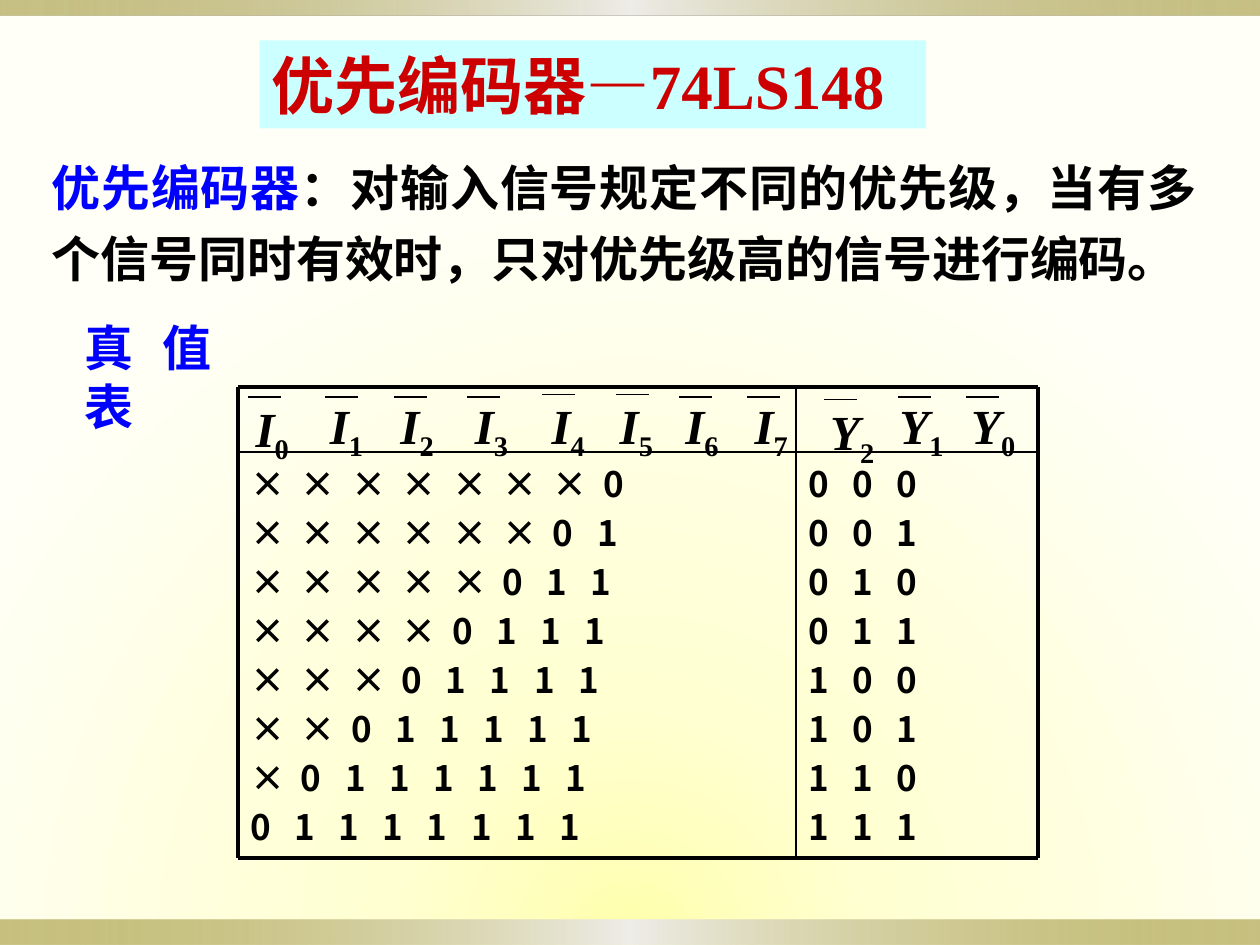
"""Builds a slide on the 74LS148 priority encoder with its truth table."""
from lxml import etree
from pptx import Presentation
from pptx.dml.color import RGBColor
from pptx.enum.shapes import MSO_CONNECTOR, MSO_SHAPE
from pptx.enum.text import MSO_ANCHOR, PP_ALIGN
from pptx.oxml import parse_xml
from pptx.oxml.ns import nsdecls, qn
from pptx.util import Inches, Pt

STRAIGHT = MSO_CONNECTOR.STRAIGHT
RECT = MSO_SHAPE.RECTANGLE
MIDDLE = MSO_ANCHOR.MIDDLE
LEFT, JUSTIFY = PP_ALIGN.LEFT, PP_ALIGN.JUSTIFY
SERIF, SANS = "Times New Roman", "Noto Sans CJK SC"
BLACK, BLUE, RED, CYAN = "000000", "0000FF", "CC0000", "CCFFFF"
rgb = RGBColor.from_string


def add_text(p, text, size=28, font=SERIF, color=BLACK, italic=False, base=None):
    r = p.add_run()
    r.text = text
    r.font.size = Pt(size)
    r.font.name = font
    r.font.bold = True
    r.font.italic = italic
    r.font.color.rgb = rgb(color)
    if base:
        r.font._element.set("baseline", str(base * 1000))


def add_line(x1, y1, x2, y2, width):
    c = s.shapes.add_connector(STRAIGHT, Inches(x1), Inches(y1), Inches(x2), Inches(y2))
    c.line.color.rgb = rgb(BLACK)
    c.line.width = Pt(width)
    etree.SubElement(c._element.spPr, qn("a:effectLst"))


prs = Presentation()
prs.slide_width, prs.slide_height = Inches(10), Inches(7.5)
s = prs.slides.add_slide(prs.slide_layouts[6])

# background and bands
s.background.fill.gradient()
for top, height in [(7.3, 0.2), (0, 0.12)]:
    sp = s.shapes.add_shape(RECT, 0, Inches(top), Inches(10), Inches(height))
    sp.shadow.inherit = False
    sp.line.fill.background()
    sp.fill.gradient()

glow = ([(0, "FFFFAC", 100), (31, "FFFFD2", 100), (100, "FFFFF7", 100)],
        '<a:path path="circle"><a:fillToRect l="50000" t="100000" r="50000" b="0"/></a:path>')
band = ([(0, "918415", 50), (50, "EEEDE8", 100), (100, "918415", 50)], '<a:lin ang="0"/>')
for old, (stops, direction) in zip(list(s.element.iter(qn("a:gradFill"))), [glow, band, band]):
    gs = "".join(f'<a:gs pos="{pos * 1000}"><a:srgbClr val="{color}">'
                 f'<a:alpha val="{alpha * 1000}"/></a:srgbClr></a:gs>'
                 for pos, color, alpha in stops)
    new = parse_xml(f'<a:gradFill {nsdecls("a")} rotWithShape="1">'
                    f'<a:gsLst>{gs}</a:gsLst>{direction}</a:gradFill>')
    old.getparent().replace(old, new)

# definition and caption
for box, spacing, runs in [
    ((0.31, 1.11, 9.29, 1.23), 1.2,
     [("优先编码器", BLUE),
      ("：对输入信号规定不同的优先级，当有多个信号同时有效时，只对优先级高的信号进行编码。", BLACK)]),
    ((0.57, 2.47, 1.21, 0.5), 1.0, [("真值表", BLUE)]),
]:
    tf = s.shapes.add_textbox(*map(Inches, box)).text_frame
    tf.word_wrap = True
    p = tf.paragraphs[0]
    p.alignment = JUSTIFY
    p.line_spacing = spacing
    for text, color in runs:
        add_text(p, text, color=color)

# title
sp = s.shapes.add_shape(RECT, Inches(2.06), Inches(0.32), Inches(5.29), Inches(0.7))
sp.shadow.inherit = False
sp.line.fill.background()
sp.fill.solid()
sp.fill.fore_color.rgb = rgb(CYAN)
tf = sp.text_frame
tf.vertical_anchor = MIDDLE
p = tf.paragraphs[0]
p.alignment = LEFT
add_text(p, "优先编码器—74LS148", size=36, color=RED)

# truth table values
outputs = [f"{i:03b}" for i in range(8)]
inputs = ["×" * (7 - i) + "0" + "1" * i for i in range(8)]
for left, width, rows in [(6.32, 1.91, outputs), (1.89, 4.44, inputs)]:
    tf = s.shapes.add_textbox(Inches(left), Inches(3.62), Inches(width), Inches(3.2)).text_frame
    tf.word_wrap = True
    for i, row in enumerate(rows):
        p = tf.add_paragraph() if i else tf.paragraphs[0]
        p.line_spacing = Pt(24)
        p.space_before = Pt(4 if i else 0)
        tabs = etree.SubElement(p._p.get_or_add_pPr(), qn("a:tabLst"))
        pos = 0
        for mark in row[:-1]:
            pos += 0.4 if mark == "×" else 0.35
            etree.SubElement(tabs, qn("a:tab"), pos=str(Inches(pos)), algn="l")
        add_text(p, "\t".join(row), size=20, font=SANS)

# table rules
for y, width in [(3.07, 2.25), (3.59, 1), (6.81, 2.25)]:
    add_line(1.89, y, 8.24, y, width)
for x, width in [(1.89, 2.25), (6.32, 1), (8.24, 2.25)]:
    add_line(x, 3.07, x, 6.81, width)

# overlined column names: letter, index, text left, text top, bar left, bar top
for letter, index, left, top, bar, bar_y in [
    ("I", 0, 1.93, 3.11, 1.97, 3.15), ("I", 1, 2.52, 3.09, 2.58, 3.15),
    ("I", 2, 3.08, 3.09, 3.13, 3.15), ("I", 3, 3.67, 3.09, 3.71, 3.15),
    ("I", 4, 4.28, 3.09, 4.3, 3.13), ("I", 5, 4.82, 3.09, 4.89, 3.13),
    ("I", 6, 5.34, 3.09, 5.39, 3.15), ("I", 7, 5.89, 3.09, 5.93, 3.15),
    ("Y", 2, 6.49, 3.14, 6.54, 3.17), ("Y", 1, 7.04, 3.09, 7.13, 3.15),
    ("Y", 0, 7.61, 3.09, 7.67, 3.15),
]:
    width = 0.55 if letter == "I" else 0.69
    tf = s.shapes.add_textbox(Inches(left), Inches(top), Inches(width), Inches(0.58)).text_frame
    tf.word_wrap = True
    p = tf.paragraphs[0]
    p.alignment = JUSTIFY
    add_text(p, letter, italic=True)
    add_text(p, str(index), base=-25)
    add_line(bar, bar_y, bar + 0.26, bar_y, 0.75)

prs.save("out.pptx")
